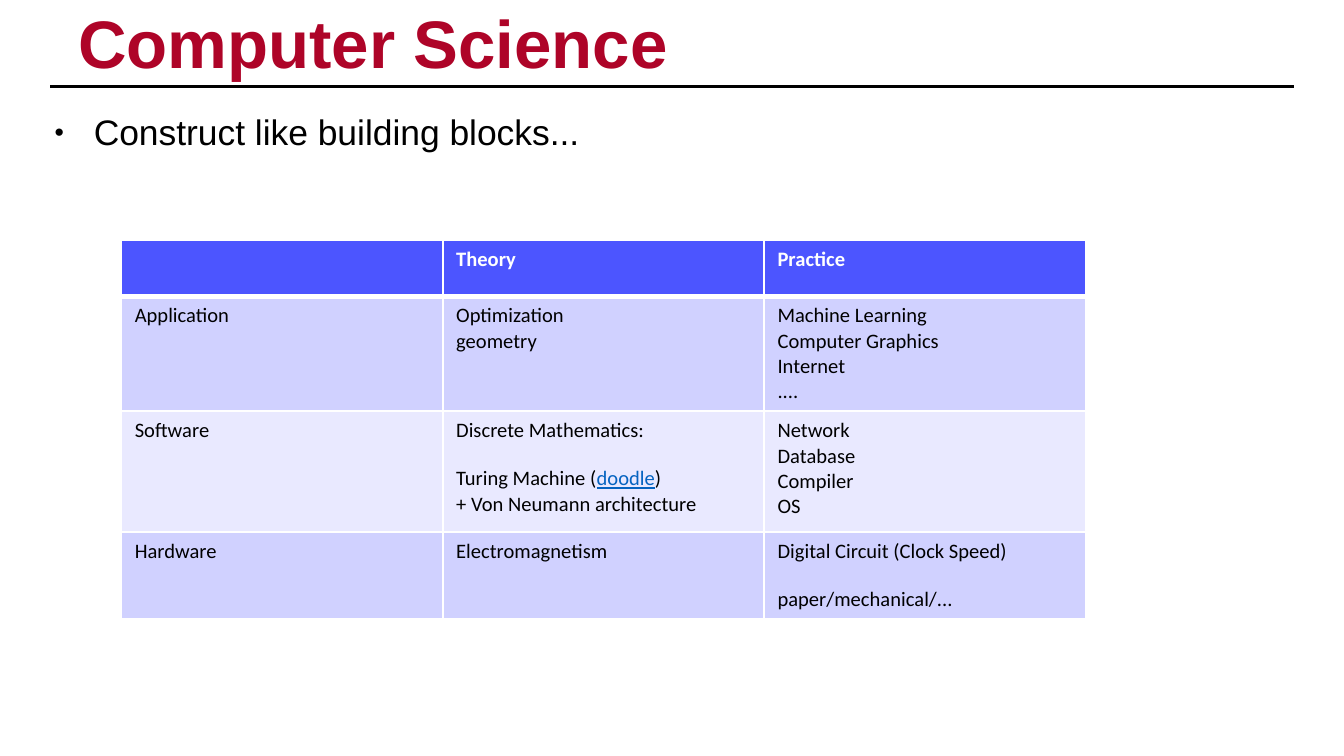
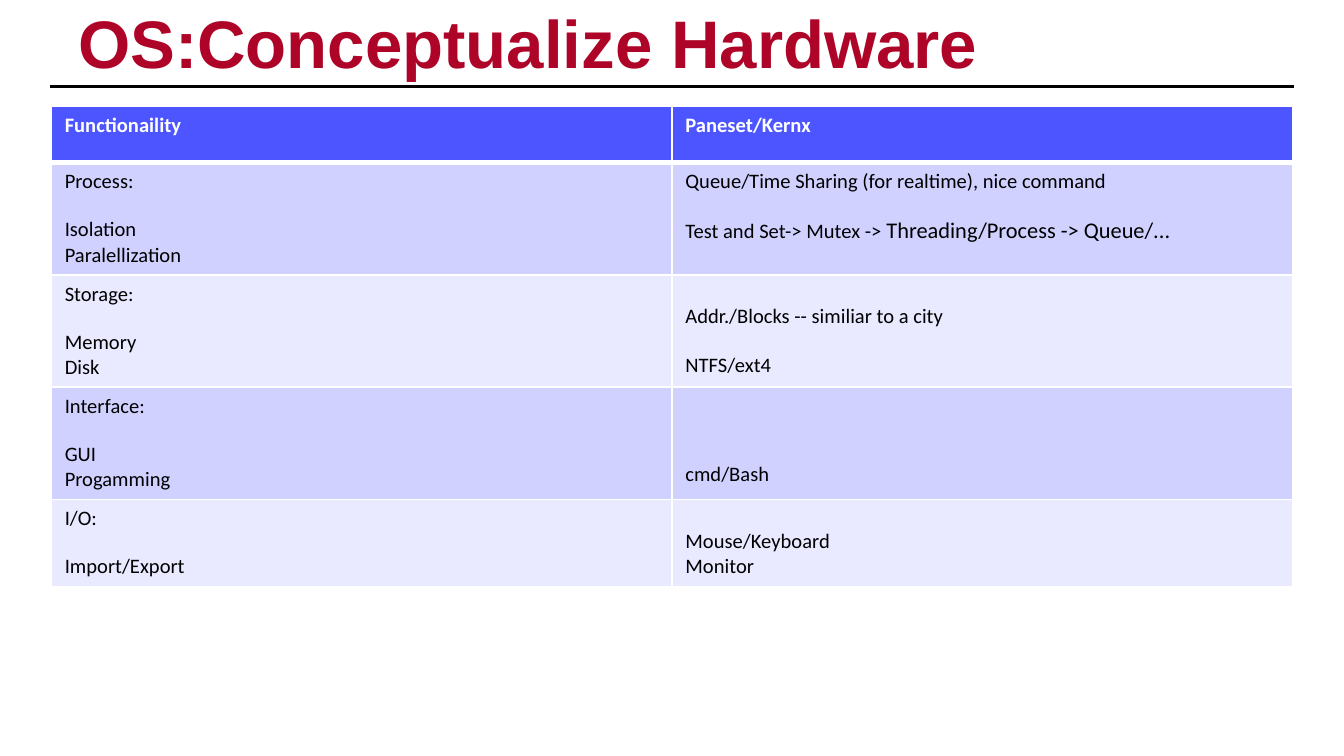
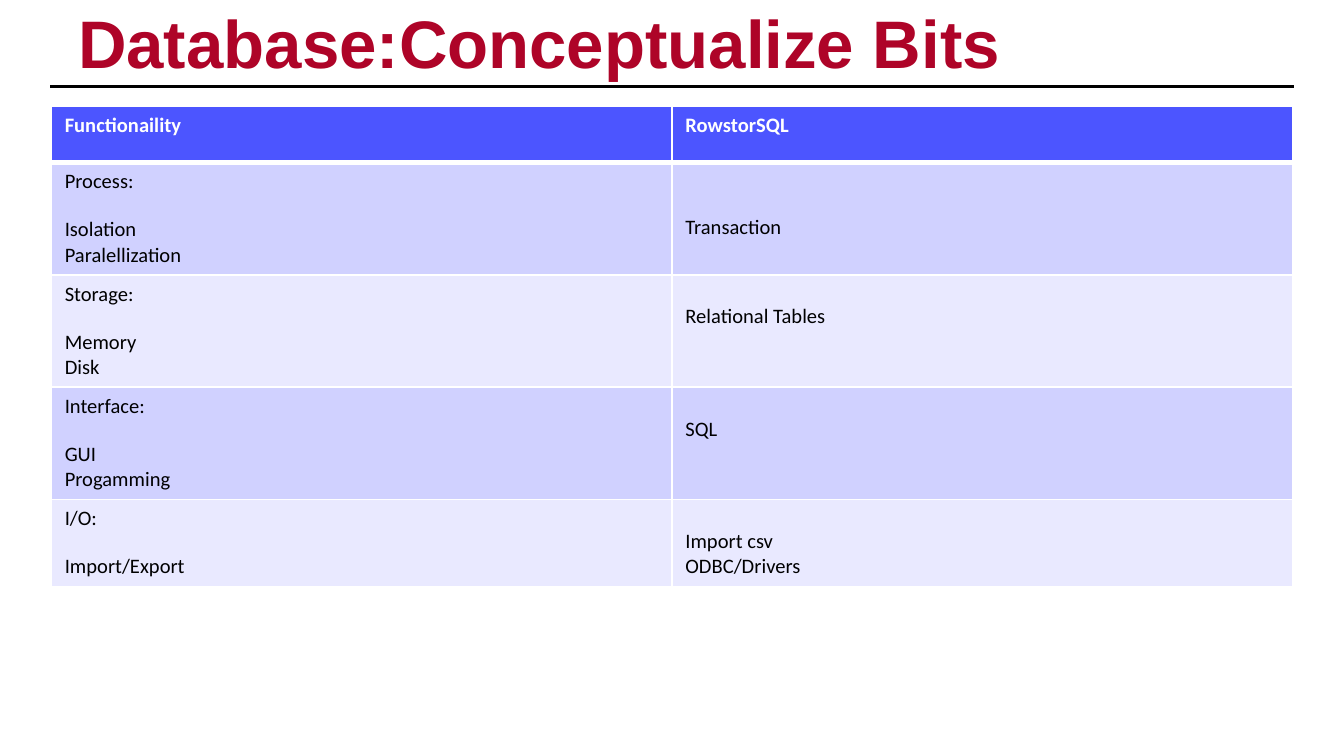
from dataclasses import dataclass

from lxml import etree
from pptx import Presentation
from pptx.dml.color import RGBColor
from pptx.enum import shapes, text
from pptx.oxml import ns
from pptx.util import Pt


@dataclass(frozen=True)
class Theme:
    title_color: str = "AE0428"
    ink: str = "000000"
    paper: str = "FFFFFF"
    header: str = "4C55FF"
    bands: tuple = ("D0D1FF", "E9E9FF")
    link: str = "0563C1"
    text_font: str = "Arial"
    table_font: str = "Calibri"
    title_size: float = 36
    body_size: float = 19
    cell_size: float = 11
    large_cell_size: float = 12
    inset: float = 2.2
    cell_inset: float = 3.6
    line_gap: float = 12.2  # height of a skipped line in a cell


THEME = Theme()
LEFT, RIGHT, CONTENT_TOP = 27, 693, 57
TITLE_AND_BODY, TITLE_ONLY = 1, 5


class Deck:
    def __init__(self, theme):
        self.theme = theme
        self.presentation = Presentation()
        self.presentation.slide_width = Pt(720)
        self.presentation.slide_height = Pt(405)
        self.slide = None

    def add_slide(self, title, layout=TITLE_ONLY):
        layouts = self.presentation.slide_layouts
        self.slide = self.presentation.slides.add_slide(layouts[layout])
        if len(self.presentation.slides) == 1:
            self.add_master_rule()
        shape = self.slide.shapes.title
        frame = self.place(shape, 39.6, 7.2, 641.5, 35.3)
        frame.vertical_anchor = text.MSO_ANCHOR.MIDDLE
        paragraph = frame.paragraphs[0]
        paragraph.alignment = text.PP_ALIGN.LEFT
        paragraph.line_spacing = 0.9
        self.add_run(paragraph, title, self.theme.text_font, self.theme.title_size,
                     self.theme.title_color, bold=True)

    def add_master_rule(self):
        """Draw the rule under the title once, on the slide master."""
        rule = self.slide.shapes.add_connector(
            shapes.MSO_CONNECTOR.STRAIGHT, Pt(LEFT), Pt(46.3), Pt(RIGHT), Pt(46.3))
        rule.line.color.rgb = RGBColor.from_string(self.theme.ink)
        rule.line.width = Pt(2)
        etree.SubElement(rule._element.spPr, ns.qn("a:effectLst"))
        self.presentation.slide_master.shapes._spTree.append(rule._element)

    def place(self, shape, left, top, width, height):
        shape.left, shape.top = Pt(left), Pt(top)
        shape.width, shape.height = Pt(width), Pt(height)
        frame = shape.text_frame
        frame.word_wrap = True
        frame.auto_size = text.MSO_AUTO_SIZE.NONE
        frame.margin_left = frame.margin_right = Pt(self.theme.inset)
        frame.margin_top = frame.margin_bottom = Pt(self.theme.inset)
        return frame

    def add_run(self, paragraph, words, font, size, color, bold=False, underline=False):
        run = paragraph.add_run()
        run.text = words
        run.font.name = font
        run.font.size = Pt(size)
        run.font.bold = bold
        run.font.underline = underline
        run.font.color.rgb = RGBColor.from_string(color)

    def add_bullets(self, items):
        frame = self.place(self.slide.placeholders[1], LEFT, CONTENT_TOP, RIGHT - LEFT, 319)
        frame.vertical_anchor = text.MSO_ANCHOR.TOP
        for index, item in enumerate(items):
            paragraph = frame.add_paragraph() if index else frame.paragraphs[0]
            paragraph.space_before = Pt(12.5)
            properties = paragraph._p.get_or_add_pPr()
            properties.set("marL", str(Pt(21)))
            properties.set("indent", str(Pt(-21)))
            etree.SubElement(properties, ns.qn("a:buSzPct"), val="75000")
            etree.SubElement(properties, ns.qn("a:buFont"), typeface=self.theme.text_font)
            etree.SubElement(properties, ns.qn("a:buChar"), char="•")
            self.add_run(paragraph, item, self.theme.text_font, self.theme.body_size,
                         self.theme.ink)

    def add_table(self, left, top, width, row_heights, rows):
        columns = len(rows[0])
        table = self.slide.shapes.add_table(
            len(rows), columns, Pt(left), Pt(top), Pt(width), Pt(sum(row_heights))).table
        table.horz_banding = False
        for column in table.columns:
            column.width = Pt(width / columns)
        for index, (height, row) in enumerate(zip(row_heights, rows)):
            table.rows[index].height = Pt(height)
            for column, lines in enumerate(row):
                self.fill_cell(table.cell(index, column), index, lines)

    def fill_cell(self, cell, row, lines):
        """Write lines into a cell; an empty line widens the gap above the next."""
        theme = self.theme
        is_header = row == 0
        fill = theme.header if is_header else theme.bands[(row - 1) % len(theme.bands)]
        cell.fill.solid()
        cell.fill.fore_color.rgb = RGBColor.from_string(fill)
        self.add_borders(cell, top=3 if row == 1 else 1, bottom=3 if is_header else 1)
        cell.margin_top = cell.margin_bottom = Pt(theme.cell_inset)

        paragraph, gap = None, 0
        for line in lines.split("\n") if isinstance(lines, str) else lines:
            if not line:
                gap += theme.line_gap
                continue
            if paragraph is None:
                paragraph = cell.text_frame.paragraphs[0]
                cell.margin_top = Pt(theme.cell_inset + gap)
            else:
                paragraph = cell.text_frame.add_paragraph()
                paragraph.space_before = Pt(gap)
            gap = 0
            for words, changes in [(line, {})] if isinstance(line, str) else line:
                style = dict(font=theme.table_font, size=theme.cell_size, bold=is_header,
                             color=theme.paper if is_header else theme.ink)
                self.add_run(paragraph, words, **(style | changes))

    def add_borders(self, cell, top, bottom):
        properties = cell._tc.get_or_add_tcPr()
        widths = {"a:lnL": 1, "a:lnR": 1, "a:lnT": top, "a:lnB": bottom}
        for position, (tag, width) in enumerate(widths.items()):
            border = etree.Element(ns.qn(tag), w=str(Pt(width)))
            solid = etree.SubElement(border, ns.qn("a:solidFill"))
            etree.SubElement(solid, ns.qn("a:srgbClr"), val=self.theme.paper)
            properties.insert(position, border)

    def add_concept_slide(self, title, system, answers):
        """Compare the shared list of functions with one system's answers."""
        functions = ("Process:\n\nIsolation\nParalellization", "Storage:\n\nMemory\nDisk",
                     "Interface:\n\nGUI\nProgamming", "I/O:\n\nImport/Export")
        self.add_slide(title)
        rows = [("Functionaility", system), *zip(functions, answers)]
        self.add_table(LEFT + 0.5, CONTENT_TOP, RIGHT - LEFT - 1,
                       (30, 60.2, 60.2, 60.2, 46), rows)


def main():
    deck = Deck(THEME)

    # Layers of computer science
    deck.add_slide("Computer Science", TITLE_AND_BODY)
    deck.add_bullets(["Construct like building blocks..."])
    turing_line = [("Turing Machine (", {}),
                   ("doodle", dict(color=THEME.link, underline=True)), (")", {})]
    deck.add_table(65, 128.8, 516.6, (30, 61.2, 64.8, 46), [
        ("", "Theory", "Practice"),
        ("Application", "Optimization\ngeometry",
         "Machine Learning\nComputer Graphics\nInternet\n...."),
        ("Software",
         ["Discrete Mathematics:", "", turing_line, "+ Von Neumann architecture"],
         "Network\nDatabase\nCompiler\nOS"),
        ("Hardware", "Electromagnetism",
         "Digital Circuit (Clock Speed)\n\npaper/mechanical/..."),
    ])

    # Operating systems
    locking_line = [("Test and Set-> Mutex -> ", {}),
                    ("Threading/Process -> Queue/...", dict(size=THEME.large_cell_size))]
    deck.add_concept_slide("OS:Conceptualize Hardware", "Paneset/Kernx", [
        ["Queue/Time Sharing (for realtime), nice command", "", locking_line],
        "\nAddr./Blocks -- similiar to a city\n\nNTFS/ext4",
        "\n\n\ncmd/Bash",
        "\nMouse/Keyboard\nMonitor",
    ])

    # Databases
    deck.add_concept_slide("Database:Conceptualize Bits", "RowstorSQL", [
        "\n\nTransaction",
        "\nRelational Tables",
        "\nSQL",
        "\nImport csv\nODBC/Drivers",
    ])

    deck.presentation.save("out.pptx")


if __name__ == "__main__":
    main()
